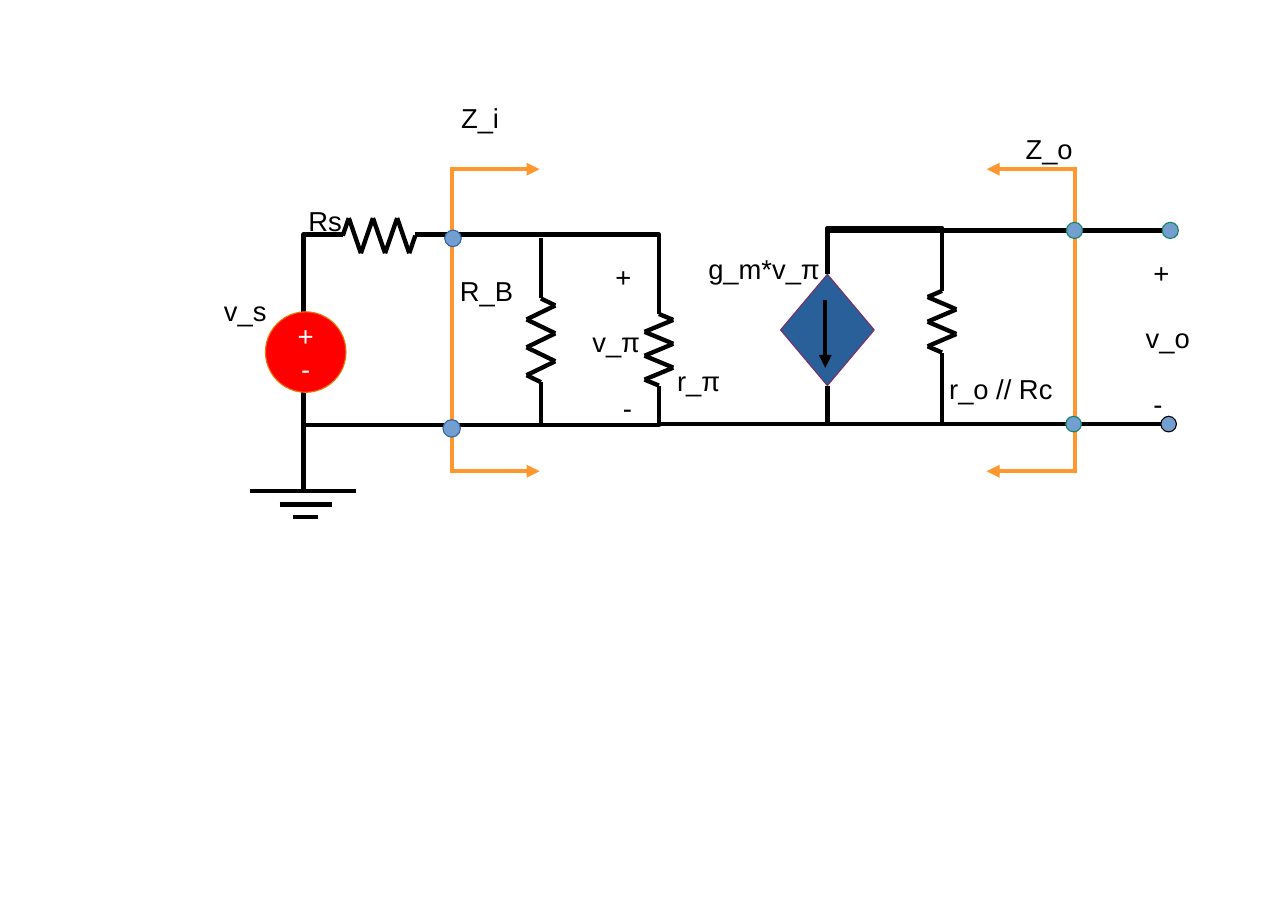
from lxml.etree import SubElement as Sub
from pptx import Presentation
from pptx.dml.color import RGBColor as RGB
from pptx.enum.shapes import MSO_CONNECTOR as CXN, MSO_SHAPE as GEO
from pptx.enum.text import MSO_ANCHOR as ANC, MSO_AUTO_SIZE as AUTO, PP_ALIGN as ALN
from pptx.oxml.ns import qn
from pptx.util import Pt

BLACK = RGB(0, 0, 0)
WHITE = RGB(255, 255, 255)
RED = RGB(255, 0, 0)
AMBER = RGB(0xEA, 0x75, 0x00)
ORANGE = RGB(0xFF, 0x97, 0x2F)
NAVY = RGB(0x2A, 0x60, 0x99)
PLUM = RGB(0x79, 0x31, 0x6B)
SKY = RGB(0x72, 0x9F, 0xCF)
BLUE = RGB(0x34, 0x65, 0xA4)
GREEN = RGB(0x15, 0x84, 0x66)
FONT = "Arial"
THICK = 2.83

SRC, RB, RPI, GM, RO, OUT = 198.4, 353.5, 430.6, 540.7, 615.6, 759.4
TOP, LOW = 153.3, 277.9
TOP2, LOW2 = 150.6, 277.2

BENDS = [
    [(224, TOP), (SRC, TOP), (SRC, 204)],
    [(271.4, TOP), (RPI, TOP), (RPI, 205.2)],
    [(SRC, 256), (SRC, LOW), (RPI, LOW), (RPI, 252)],
    [(GM, 179.3), (GM, 149), (RO, 149), (RO, 190.1)],
    [(GM, 252), (GM, LOW2), (RO, LOW2), (RO, 230.4)],
    [(OUT, TOP2), (GM, TOP2), (GM, 179.3)],
    [(OUT, LOW2), (GM, LOW2), (GM, 252)],
]
WIRES = [
    (SRC, 320.4, SRC, 256),
    (RB, 195.1, RB, 155.5), (RB, LOW, RB, 249.8),
    (RPI, LOW2, GM, LOW2),
]
GROUND = [(198, 320.8, 34.6), (199.8, 329.8, 17), (199.8, 337.7, 8.3)]
COILS = [
    ((224, 154), (271.4, 154), 6, 11.5),
    ((RB, 195.1), (RB, 249.8), 6, 9.4),
    ((RPI, 205.2), (RPI, 252), 6, 9.4),
    ((RO, 190.1), (RO, 230.4), 5, -9.4),
]
PORTS = [(295.2, 352.6), (702.4, 644.8)]
SPAN = (109.2, 309.4)
DOTS = [
    (764.8, 150.6, 10.6, GREEN), (763.7, LOW2, 10.2, BLACK),
    (702.2, 150.6, 10.6, GREEN), (701.6, LOW2, 10.2, GREEN),
    (296, 155.8, 10.8, BLUE), (295.2, 280, 11.4, BLUE),
]
LABELS = [
    ("Z_i", 294.2, 62.6, 77.8), ("Z_o", 663.1, 82.8, 77.8),
    ("Rs", 194.4, 129.6, 36), ("v_s", 139.3, 188.6, 77.8),
    ("R_B", 293.5, 175.7, 49), ("r_π", 435.4, 234.3, 42.5),
    ("g_m*v_π", 455.8, 161.3, 103), ("r_o // Rc", 613.2, 239.8, 82.1),
]
VOLTS = [
    ([("+", 15), ("v_π", 0), ("-", 20)], 380, 166.4),
    ([("+", 5), ("v_o", 0), ("-", 5)], 741.6, 163.7),
]

prs = Presentation()
prs.slide_width, prs.slide_height = Pt(841.7), Pt(595.4)
slide = prs.slides.add_slide(prs.slide_layouts[6])
shapes = slide.shapes


def pen(line, color, width=THICK):
    line.color.rgb = color
    line.width = Pt(width)


def wire(x1, y1, x2, y2, color=BLACK, tip=False, home=shapes):
    cxn = home.add_connector(CXN.STRAIGHT, Pt(x1), Pt(y1), Pt(x2), Pt(y2))
    pen(cxn.line, color)
    if tip:
        Sub(cxn.line._ln, qn("a:tailEnd"), type="triangle")
    Sub(cxn._element.spPr, qn("a:effectLst"))


def trace(pts):
    pts = [(Pt(x), Pt(y)) for x, y in pts]
    form = shapes.build_freeform(*pts[0])
    form.add_line_segments(pts[1:], close=False)
    bend = form.convert_to_shape()
    bend.fill.background()
    bend.shadow.inherit = False
    pen(bend.line, BLACK)


def coil(start, end, turns, amp):
    (x, y), (x2, y2) = start, end
    dx, dy = x2 - x, y2 - y
    size = abs(dx) + abs(dy)
    pts = [start]
    for i in range(turns):
        part = (i + 0.5) / turns
        side = amp * (-1) ** i / size
        pts.append((x + dx * part + dy * side, y + dy * part - dx * side))
    pts.append(end)
    home = shapes.add_group_shape().shapes
    for a, b in zip(pts, pts[1:]):
        wire(*a, *b, home=home)


def solid(kind, x, y, w, h, fill, edge):
    shape = shapes.add_shape(kind, Pt(x), Pt(y), Pt(w), Pt(h))
    shape.shadow.inherit = False
    shape.fill.solid()
    shape.fill.fore_color.rgb = fill
    pen(shape.line, edge, 0)
    return shape


def write(para, text, color=BLACK, size=17.9):
    run = para.add_run()
    run.text = text
    run.font.name, run.font.size = FONT, Pt(size)
    run.font.color.rgb = color


def label(rows, x, y, w, h):
    frame = shapes.add_textbox(Pt(x), Pt(y), Pt(w), Pt(h)).text_frame
    frame.word_wrap = False
    frame.auto_size = AUTO.SHAPE_TO_FIT_TEXT
    for i, (text, dent) in enumerate(rows):
        para = frame.add_paragraph() if i else frame.paragraphs[0]
        if i:
            para.space_before = Pt(21.3)
        if dent:
            para._p.get_or_add_pPr().set("marL", str(Pt(dent)))
        write(para, text)


solid(GEO.DIAMOND, GM - 30.6, 179.3, 61.2, 72.7, NAVY, PLUM)
for pts in BENDS:
    trace(pts)
for ends in WIRES:
    wire(*ends)
for x, y, half in GROUND:
    wire(x - half, y, x + half, y)
for turn in COILS:
    coil(*turn)
wire(539.3, 195.8, 539.3, 240.5, tip=True)

disc = solid(GEO.OVAL, 173.5, 203.8, 52.6, 52.6, RED, AMBER)
frame = disc.text_frame
frame.word_wrap = False
frame.vertical_anchor = ANC.MIDDLE
for i, sign in enumerate("+-"):
    para = frame.add_paragraph() if i else frame.paragraphs[0]
    para.alignment = ALN.CENTER
    write(para, sign, WHITE, 18)

for x, tip in PORTS:
    wire(x, SPAN[0], x, SPAN[1], ORANGE)
    for y in (SPAN[0] + 1.4, SPAN[1] - 1.4):
        wire(x, y, tip, y, ORANGE, True)
for x, y, size, edge in DOTS:
    solid(GEO.OVAL, x - size / 2, y - size / 2, size, size, SKY, edge)
for text, x, y, w in LABELS:
    label([(text, 0)], x, y, w, 44.6)
for rows, x, y in VOLTS:
    label(rows, x, y, 77.8, 107.3)

prs.save("out.pptx")
